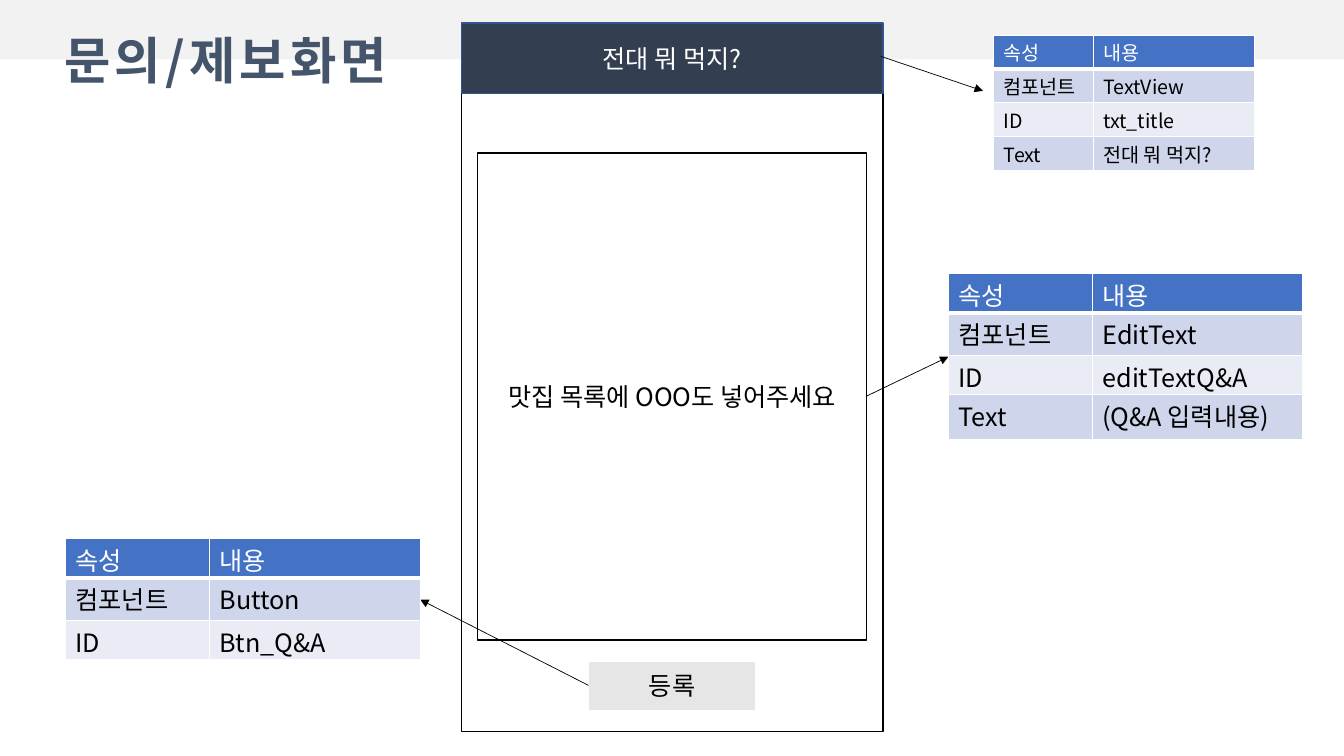
from lxml.etree import SubElement
from pptx import Presentation
from pptx.dml.color import RGBColor
from pptx.enum.shapes import MSO_CONNECTOR, MSO_SHAPE
from pptx.enum.text import MSO_ANCHOR, MSO_AUTO_SIZE, PP_ALIGN
from pptx.oxml.ns import qn
from pptx.util import Cm, Pt

FONT = "Noto Sans CJK KR"
BLACK = RGBColor(0x00, 0x00, 0x00)
WHITE = RGBColor(0xFF, 0xFF, 0xFF)
BAND = RGBColor(0xF2, 0xF2, 0xF2)
SLATE = RGBColor(0x44, 0x54, 0x6A)
NAVY = RGBColor(0x33, 0x3F, 0x50)
NAVY_EDGE = RGBColor(0x32, 0x54, 0x91)
BUTTON_GRAY = RGBColor(0xE7, 0xE6, 0xE6)
HEAD_BLUE = RGBColor(0x44, 0x72, 0xC4)
ROW_DARK = RGBColor(0xCF, 0xD5, 0xEA)
ROW_LIGHT = RGBColor(0xE9, 0xEB, 0xF5)

APP_NAME = "전대 뭐 먹지?"


def write(frame, text, *, size=18, color=BLACK, bold=False, spacing=None,
          align=PP_ALIGN.LEFT):
    """Fill a text frame with one formatted paragraph; spacing is in points."""
    para = frame.paragraphs[0]
    para.alignment = align
    span = para.add_run()
    span.text = text
    font = span.font
    font.name, font.size, font.bold = FONT, Pt(size), bold
    font.color.rgb = color
    props = span._r.get_or_add_rPr()
    SubElement(props, qn("a:ea")).set("typeface", FONT)
    if spacing:
        props.set("spc", str(spacing * 100))


def set_borders(cell, header_edge=None):
    """Draw white cell borders, 3 pt on the edge shared with the header."""
    props = cell._tc.get_or_add_tcPr()
    for index, edge in enumerate("LRTB"):
        width = 3 if edge == header_edge else 1
        line = SubElement(props, qn(f"a:ln{edge}"), w=str(Pt(width)))
        fill = SubElement(line, qn("a:solidFill"))
        SubElement(fill, qn("a:srgbClr"), val=str(WHITE))
        props.remove(line)
        props.insert(index, line)


class ScreenSlide:
    """Holds the slide and the style its elements share."""

    def __init__(self, deck):
        self.slide = deck.slides.add_slide(deck.slide_layouts[5])
        self.shapes = self.slide.shapes

    def title(self, text, left, top, width, height):
        box = self.shapes.title
        box.left, box.top, box.width, box.height = map(
            Cm, (left, top, width, height))
        frame = box.text_frame
        frame.word_wrap = False
        frame.auto_size = MSO_AUTO_SIZE.SHAPE_TO_FIT_TEXT
        frame.vertical_anchor = MSO_ANCHOR.TOP
        write(frame, text, size=36, color=SLATE, bold=True, spacing=3)
        # Bring the title in front of the band
        box.element.getparent().append(box.element)

    def panel(self, left, top, width, height, *, fill=WHITE, line=None,
              text=None, color=BLACK):
        box = self.shapes.add_shape(
            MSO_SHAPE.RECTANGLE, *map(Cm, (left, top, width, height)))
        box.shadow.inherit = False
        box.fill.solid()
        box.fill.fore_color.rgb = fill
        if line is None:
            box.line.fill.background()
        else:
            box.line.color.rgb = line
            box.line.width = Pt(1)
        if text:
            frame = box.text_frame
            frame.word_wrap = True
            frame.vertical_anchor = MSO_ANCHOR.MIDDLE
            write(frame, text, color=color, align=PP_ALIGN.CENTER)

    def arrow(self, start, end):
        link = self.shapes.add_connector(
            MSO_CONNECTOR.STRAIGHT, *map(Cm, (*start, *end)))
        link.line.color.rgb = BLACK
        link.line.width = Pt(0.5)
        SubElement(link.line._get_or_add_ln(), qn("a:tailEnd"), type="triangle")
        SubElement(link._element.spPr, qn("a:effectLst"))

    def properties(self, left, top, values, *, columns=(3.63, 5.31),
                   heights=(1, 1.07, 1, 1.12), size=18):
        """Add a table of attribute names and values below a header row."""
        rows = [("속성", "내용"), *zip(("컴포넌트", "ID", "Text"), values)]
        heights = heights[:len(rows)]
        table = self.shapes.add_table(
            len(rows), len(columns), Cm(left), Cm(top),
            Cm(sum(columns)), Cm(sum(heights))).table
        for column, width in zip(table.columns, columns):
            column.width = Cm(width)
        for r, (row, height) in enumerate(zip(rows, heights)):
            table.rows[r].height = Cm(height)
            fill = HEAD_BLUE if r == 0 else ROW_DARK if r % 2 else ROW_LIGHT
            for c, text in enumerate(row):
                cell = table.cell(r, c)
                cell.margin_top, cell.margin_bottom = Cm(0.07), 0
                cell.fill.solid()
                cell.fill.fore_color.rgb = fill
                set_borders(cell, {0: "B", 1: "T"}.get(r))
                write(cell.text_frame, text, size=size,
                      color=BLACK if r else WHITE)


def main():
    deck = Presentation()
    deck.slide_width, deck.slide_height = Cm(33.87), Cm(19.05)
    page = ScreenSlide(deck)

    page.panel(11.63, 0.58, 10.62, 17.86, line=BLACK)
    page.panel(0, 0, 33.87, 1.5, fill=BAND)
    page.title("문의/제보화면", 1.37, 0.61, 9.53, 1.8)
    page.panel(12.04, 3.86, 9.8, 12.27, line=BLACK,
               text="맛집 목록에 OOO도 넣어주세요")
    page.panel(11.63, 0.58, 10.62, 1.78, fill=NAVY, line=NAVY_EDGE,
               text=APP_NAME, color=WHITE)
    page.panel(14.83, 16.66, 4.22, 1.24, fill=BUTTON_GRAY, line=WHITE,
               text="등록")

    page.arrow((21.84, 9.98), (23.9, 8.99))
    page.arrow((14.83, 17.27), (10.59, 15.11))
    page.properties(23.9, 6.88, ("EditText", "editTextQ&A", "(Q&A 입력내용)"))
    page.properties(1.65, 13.56, ("Button", "Btn_Q&A"))
    page.properties(25.04, 0.89, ("TextView", "txt_title", APP_NAME),
                    columns=(2.51, 4.06), heights=(0.85,) * 4, size=14)
    page.arrow((22.2, 1.42), (24.77, 2.29))

    deck.save("out.pptx")


if __name__ == "__main__":
    main()
